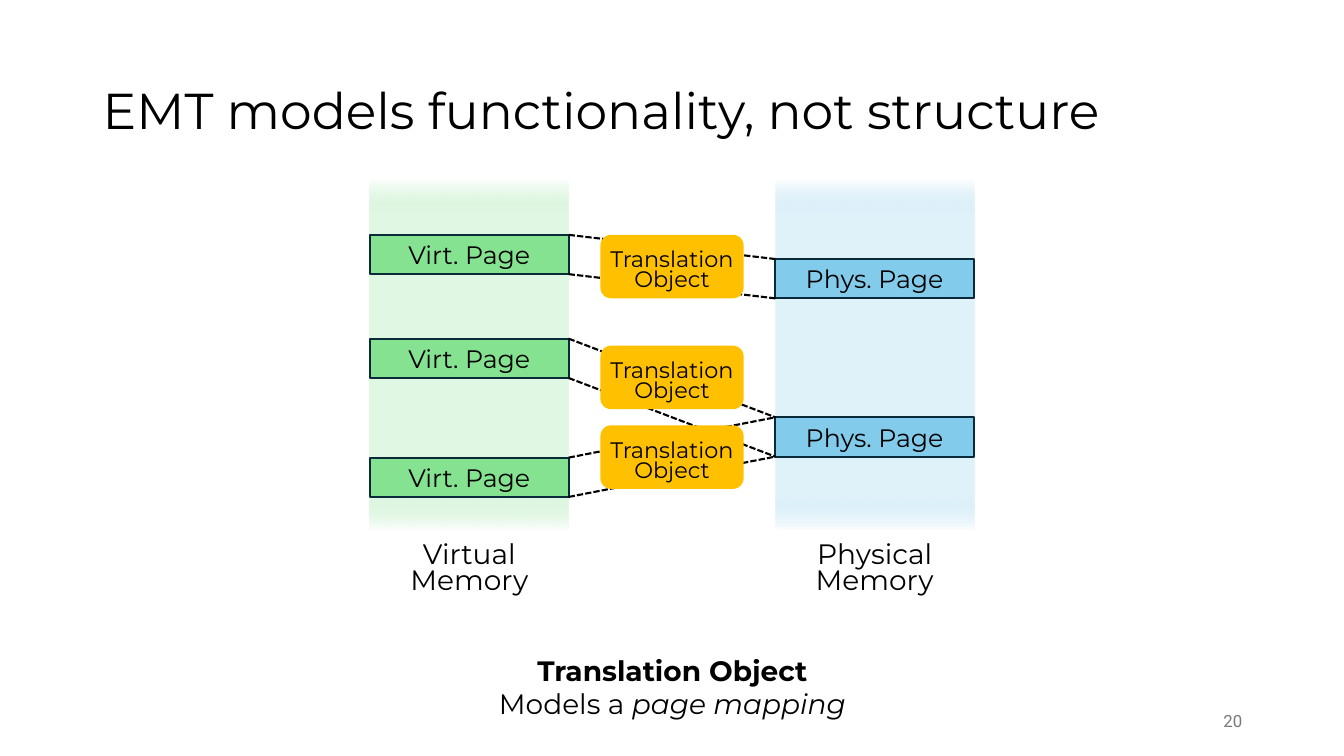
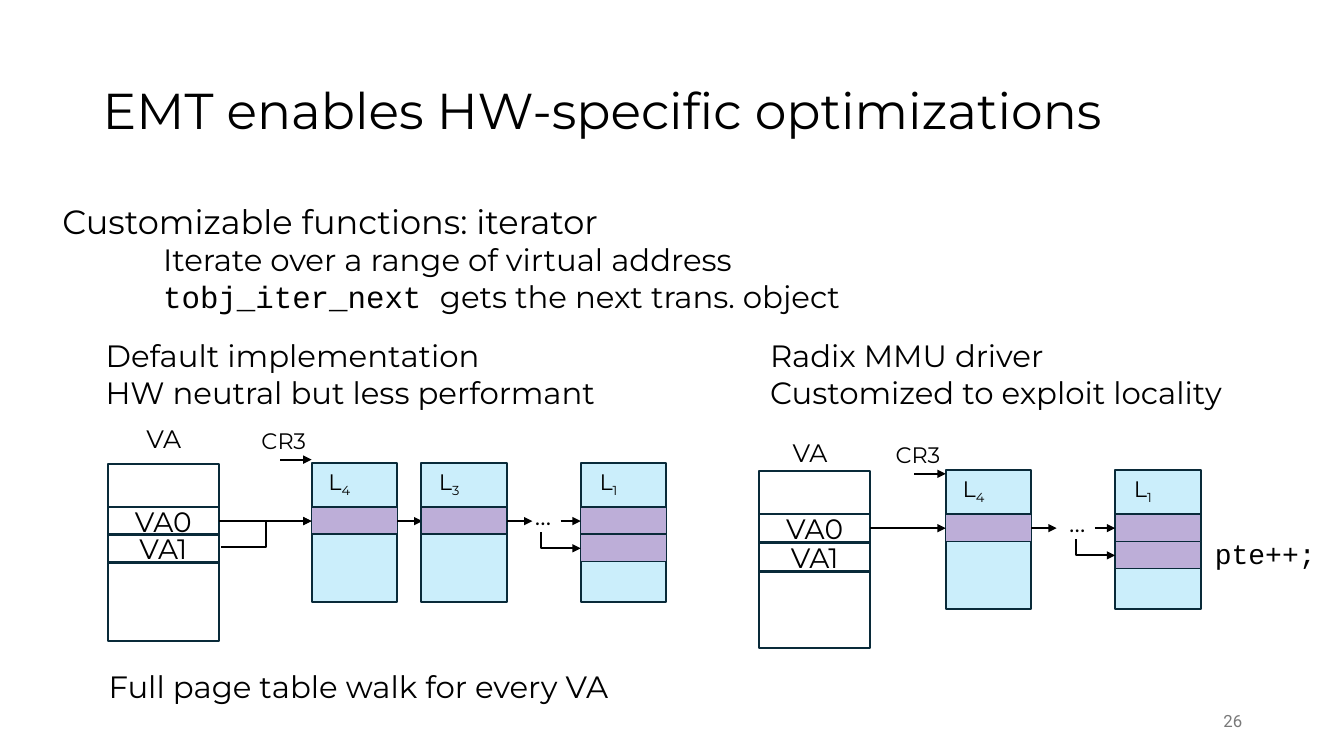
from lxml.etree import SubElement as Sub
from pptx import Presentation
from pptx.dml.color import RGBColor as RGB
from pptx.enum.dml import MSO_LINE as Dash
from pptx.enum.shapes import MSO_CONNECTOR as Conn, MSO_SHAPE as Geo
from pptx.enum.text import MSO_ANCHOR as Anc, PP_ALIGN as Al
from pptx.oxml.ns import qn
from pptx.util import Inches as In, Pt

HUES = {"ink": "000000", "edge": "092A39", "virt": "84E291", "phys": "83CBEB",
        "tobj": "FFC000", "table": "CBEEFB", "entry": "BDAED8",
        "fade": "FFFFFF", "foot": "797979"}
SANS, MONO, FOOT = "Montserrat", "Courier New", "Roboto"
PAD = (0.1, 0.05, 0.1, 0.05)
BARE = (0, 0, 0, 0)


def tint(name):
    return RGB.from_string(HUES[name])


# --- Shared helpers ---
def write(frame, paras, size=18, al=Al.LEFT, anc=Anc.TOP, pad=PAD,
          space=None, hue="ink"):
    """Each paragraph is a string or a list of (text, format) runs."""
    look = {"word_wrap": True, "vertical_anchor": anc}
    sides = ("margin_left", "margin_top", "margin_right", "margin_bottom")
    look.update(zip(sides, map(In, pad)))
    for key, val in look.items():
        setattr(frame, key, val)
    for i, runs in enumerate(paras):
        para = frame.paragraphs[0] if i == 0 else frame.add_paragraph()
        para.alignment = al
        if space:
            para.line_spacing = space
        for text, more in [(runs, {})] if isinstance(runs, str) else runs:
            run = para.add_run()
            run.text = text
            base = {"name": SANS, "size": Pt(size)}
            for key, val in {**base, **more}.items():
                if key == "shift":
                    run.font._element.set("baseline", str(val * 1000))
                else:
                    setattr(run.font, key, val)
            run.font.color.rgb = tint(hue)


def label(sl, box, paras, **fmt):
    item = sl.shapes.add_textbox(*map(In, box))
    write(item.text_frame, paras, **fmt)
    return item


def block(sl, box, fill=None, edge="edge", wide=1.5, geo=Geo.FLOWCHART_PROCESS,
          text=None, **fmt):
    item = sl.shapes.add_shape(geo, *map(In, box))
    item.shadow.inherit = False
    if fill:
        item.fill.solid()
        item.fill.fore_color.rgb = tint(fill)
    else:
        item.fill.background()
    if edge:
        item.line.color.rgb = tint(edge)
        item.line.width = Pt(wide)
    else:
        item.line.fill.background()
    if text:
        write(item.text_frame, [text], al=Al.CENTER, anc=Anc.MIDDLE, **fmt)
    return item


def link(sl, start, end, kind=Conn.STRAIGHT, dash=None, head=True):
    item = sl.shapes.add_connector(kind, *map(In, start + end))
    item.line.color.rgb = tint("ink")
    item.line.width = Pt(1.5)
    if dash:
        item.line.dash_style = dash
    if head:
        Sub(item.line._get_or_add_ln(), qn("a:tailEnd"), type="triangle")
    Sub(item._element.spPr, qn("a:effectLst"))
    return item


def hook(sl, start, end):
    """One-bend arrow that goes down, then right."""
    (x1, y1), (x2, y2) = start, end
    mx, my = (x1 + x2) / 2, (y1 + y2) / 2
    dx, dy = (y2 - y1) / 2, (x2 - x1) / 2
    item = link(sl, (mx - dx, my - dy), (mx + dx, my + dy), Conn.ELBOW)
    props = item._element.spPr
    props.find(qn("a:prstGeom")).set("prst", "bentConnector2")
    frame = props.find(qn("a:xfrm"))
    frame.set("rot", str(270 * 60000))
    frame.set("flipH", "1")


def fade(item, name):
    """Soft band: clear at both ends, tinted in the middle."""
    item.fill.gradient()
    item.fill.gradient_angle = 90
    stops = item._element.spPr.find(".//" + qn("a:gsLst"))
    for old in list(stops):
        stops.remove(old)
    for pos, hue, alpha in ((0, "fade", 67), (10, name, 25),
                            (90, name, 25), (100, "fade", 67)):
        stop = Sub(stops, qn("a:gs"), pos=str(pos * 1000))
        clr = Sub(stop, qn("a:srgbClr"), val=HUES[hue])
        Sub(clr, qn("a:alpha"), val=str(alpha * 1000))


def start(deck, title, num):
    sl = deck.slides.add_slide(deck.slide_layouts[6])
    label(sl, (0.92, 0.4, 11.5, 1.45), [title], size=36, anc=Anc.MIDDLE,
          space=0.9)
    label(sl, (9.42, 6.95, 3, 0.4), [[(num, {"name": FOOT})]], size=12,
          al=Al.RIGHT, anc=Anc.MIDDLE, hue="foot")
    return sl


# --- Page mapping slide ---
PAGE = 0.39


def column(sl, box, name, hue, page, tops):
    x, y, w, h = box
    fade(block(sl, box, edge=None), hue)
    label(sl, (x, y + h + 0.06, w, 0.64), [name, "Memory"], size=20,
          al=Al.CENTER, anc=Anc.MIDDLE, pad=(0.1, 0.08, 0.1, 0.05), space=0.75)
    for top in tops:
        block(sl, (x, y + top, w, PAGE), hue, text=page)


def mapping(sl, box):
    x, y, w, h = box
    wide = 1.97
    left, right = x + wide, x + w - wide
    virt, phys = (0.55, 1.58, 2.76), (0.79, 2.36)
    column(sl, (x, y, wide, h), "Virtual", "virt", "Virt. Page", virt)
    column(sl, (right, y, wide, h), "Physical", "phys", "Phys. Page", phys)
    # Dashed lines join both edges of each pair of pages
    for v, p in zip(virt, (phys[0], phys[1], phys[1])):
        for edge in (0, PAGE):
            link(sl, (left, y + v + edge), (right, y + p + edge),
                 dash=Dash.SQUARE_DOT, head=False)
    # Translation objects sit midway between the columns
    size = 1.42
    for top in (0.55, 1.65, 2.44):
        block(sl, ((left + right - size) / 2, y + top, size, 0.63), "tobj",
              edge=None, geo=Geo.FLOWCHART_ALTERNATE_PROCESS,
              text="Translation Object", size=16, pad=(0, 0.1, 0, 0),
              space=0.75)


def models(deck):
    sl = start(deck, "EMT models functionality, not structure", "20")
    mapping(sl, (3.67, 1.78, 5.99, 3.48))
    label(sl, (4.78, 6.43, 3.78, 0.77),
          [[("Translation Object", {"bold": True})],
           [("Models a ", {}), ("page mapping", {"italic": True})]],
          size=20, al=Al.CENTER)


# --- Iterator slide ---
WIDE, ROW = 0.85, 0.27


def table(sl, x, y, level, rows):
    block(sl, (x, y, WIDE, 1.38), "table", geo=Geo.RECTANGLE)
    label(sl, (x, y + 0.05, 0.55, ROW),
          [[("L", {}), (level, {"shift": -25})]], size=16, al=Al.CENTER,
          pad=BARE)
    for i in range(rows):
        block(sl, (x, y + 0.44 + i * ROW, WIDE, ROW), "entry", wide=1,
              geo=Geo.RECTANGLE)


def space(sl, x, y, step, tag):
    """Virtual address box with its two marked rows."""
    block(sl, (x, y, 1.1, 1.76))
    for i in range(2):
        block(sl, (x, y + 0.43 + i * step, 1.1, 0.28), text=f"VA{i}", size=20)
    dx, dy = tag
    label(sl, (x + dx, y + dy, 0.57, 0.4), ["VA"], al=Al.CENTER,
          pad=(0, 0.05, 0, 0.05))


def walk(sl, box, levels, step, tag, reg):
    """Page walk; levels pairs each table level with its left offset."""
    x, y = box
    space(sl, x, y, step, tag)
    top, mid = y - 0.01, y + 0.57
    for level, dx in levels:
        last = level == "1"
        table(sl, x + dx, top, level, 2 if last else 1)
        if not last:
            out = x + dx + WIDE
            link(sl, (out, mid), (out + 0.25, mid))
    # Root register and first lookup
    root, leaf = x + levels[0][1], x + levels[-1][1]
    label(sl, (root - 0.59, top + reg - 0.32, 0.63, ROW), ["CR3"], size=16,
          al=Al.CENTER, pad=BARE)
    link(sl, (root - 0.31, top + reg), (root, top + reg))
    link(sl, (x + 1.1, mid), (root, mid))
    # Skipped levels, then the leaf entries
    label(sl, (leaf - 0.69, top + 0.37, 0.63, 0.3), ["…"], al=Al.CENTER,
          pad=BARE)
    link(sl, (leaf - 0.2, mid), (leaf, mid))
    hook(sl, (leaf - 0.39, top + 0.69), (leaf, top + 0.85))


def enables(deck):
    sl = start(deck, "EMT enables HW-specific optimizations", "26")
    # Intro text
    small = {"size": Pt(22)}
    intro = label(sl, (0.52, 1.94, 11.5, 1.3), [
        "Customizable functions: iterator",
        [("Iterate over a range of virtual address", small)],
        [("tobj_iter_next ", {**small, "name": MONO}),
         ("gets the next trans. object", small)]], size=24)
    for para in intro.text_frame.paragraphs[1:]:
        para._p.get_or_add_pPr().set("marL", str(In(1)))
    # Captions
    for box, lines in (
            ((0.95, 3.29, 5.2, 0.84),
             ["Default implementation", "HW neutral but less performant"]),
            ((7.54, 3.29, 4.84, 0.84),
             ["Radix MMU driver", "Customized to exploit locality"]),
            ((0.98, 6.58, 5.33, 0.47), ["Full page table walk for every VA"])):
        label(sl, box, lines, size=22)
    # Default walk: the second address starts over at the root
    walk(sl, (1.07, 4.6), [("4", 2.02), ("3", 3.11), ("1", 4.69)], 0.27,
         (0.27, -0.45), -0.03)
    link(sl, (2.19, 5.43), (3.09, 5.17), Conn.ELBOW)
    # Custom walk: the second address steps to the next entry
    walk(sl, (7.53, 4.67), [("4", 1.85), ("1", 3.53)], 0.29,
         (0.22, -0.38), 0.04)
    label(sl, (11.95, 5.27, 1.3, 0.44), [[("pte++;", {"name": MONO})]], size=20)


def main():
    deck = Presentation()
    deck.slide_width, deck.slide_height = In(13.33), In(7.5)
    models(deck)
    enables(deck)
    deck.save("out.pptx")


if __name__ == "__main__":
    main()
